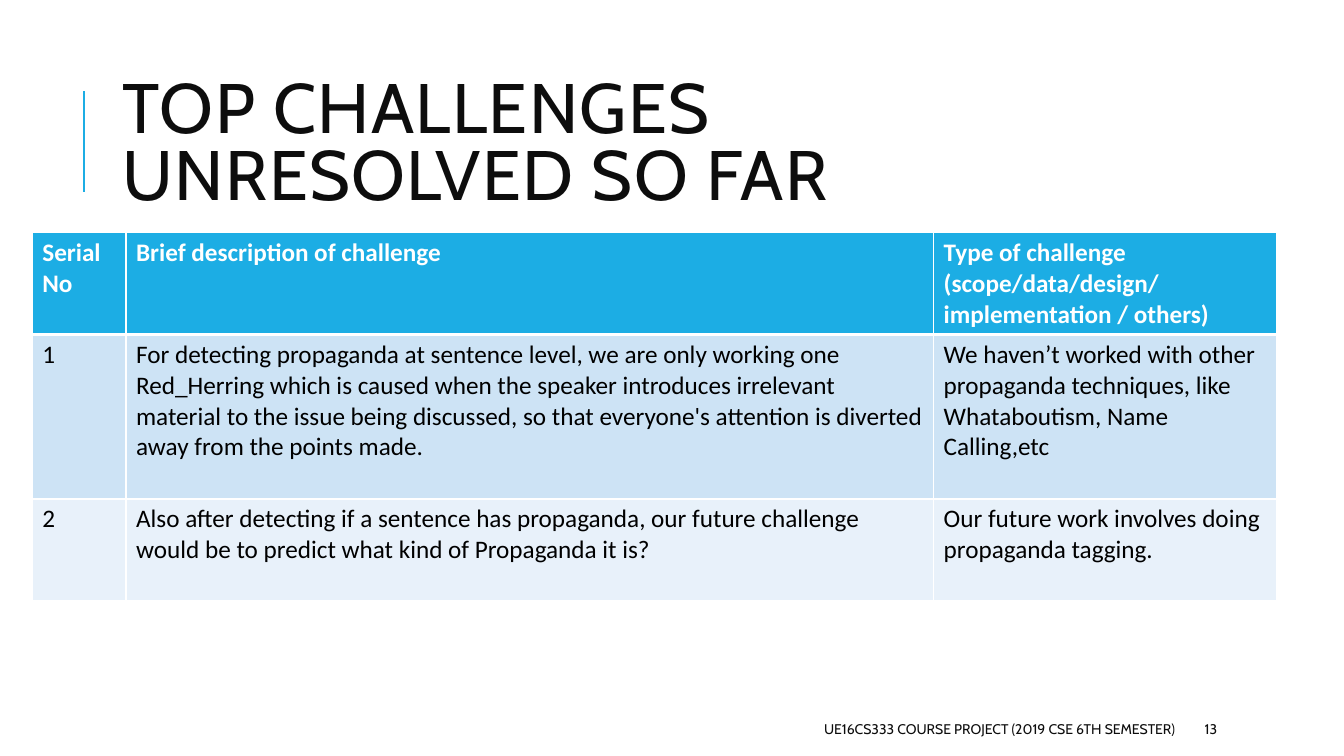
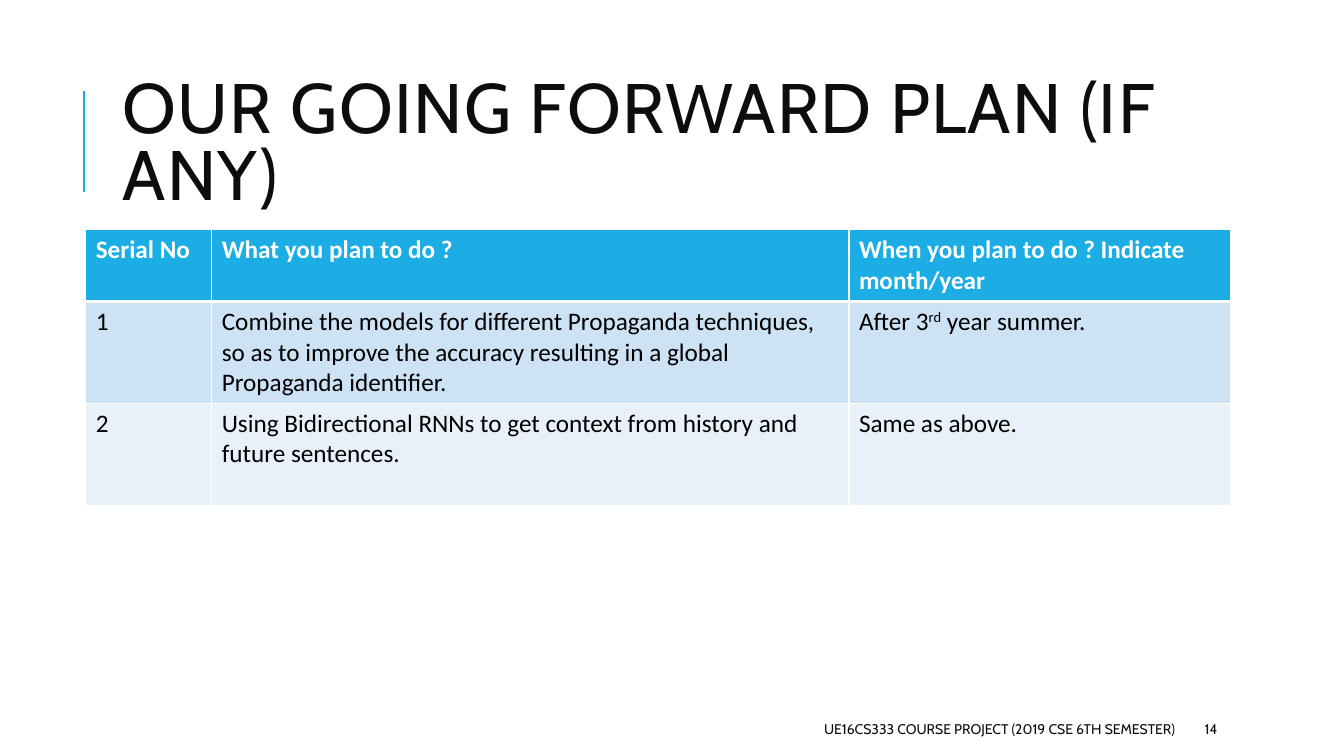
from dataclasses import dataclass

from lxml import etree
from pptx import Presentation, util as u
from pptx.dml.color import RGBColor
from pptx.enum import shapes, text
from pptx.oxml.ns import qn

PX = 9144  # EMU, 100 px to the inch
ACCENT, INK, WHITE, BLACK = "1CADE4", "0D0D0D", "FFFFFF", "000000"
BANDS = ("CDE3F5", "E8F1FA")
HEAD_FONT, BODY_FONT = "Cabin", "Calibri"
FOOTER = "UE16CS333 COURSE PROJECT (2019 CSE 6TH SEMESTER)"
FIRST_NUMBER = 13


@dataclass
class TableSlide:
    title: str
    left: int
    top: int
    cols: tuple[int, ...]
    heights: tuple[int, ...]
    rows: tuple[tuple[str, ...], ...]  # ^ marks start and end a superscript


SLIDES = (
    TableSlide(
        "TOP CHALLENGES UNRESOLVED SO FAR", 32, 231,
        (93, 801, 340), (101, 163, 101),
        (
            ("Serial No", "Brief description of challenge",
             "Type of challenge\n(scope/data/design/implementation / others)"),
            ("1",
             "For detecting propaganda at sentence level, we are only working one "
             "Red_Herring which is caused when the speaker introduces irrelevant "
             "material to the issue being discussed, so that everyone's attention "
             "is diverted away from the points made.",
             "We haven’t worked with other propaganda techniques, like "
             "Whataboutism, Name Calling,etc"),
            ("2",
             "Also after detecting if a sentence has propaganda, our future "
             "challenge would be to predict what kind of Propaganda it is?",
             "Our future work involves doing propaganda tagging."),
        ),
    ),
    TableSlide(
        "OUR GOING FORWARD PLAN (IF ANY)", 85, 228,
        (125, 632, 379), (71, 101, 102),
        (
            ("Serial No", "What you plan to do ?",
             "When you plan to do ? Indicate month/year"),
            ("1",
             "Combine the models for different Propaganda techniques, so as to "
             "improve the accuracy resulting in a global Propaganda identifier.",
             "After 3^rd^ year summer."),
            ("2",
             "Using Bidirectional RNNs to get context from history and future "
             "sentences.",
             "Same as above."),
        ),
    ),
)


def px(n: int) -> u.Emu:
    return u.Emu(n * PX)


def rgb(color: str) -> RGBColor:
    return RGBColor.from_string(color)


def style_run(r, size: int, font: str, color: str, bold: bool = False) -> None:
    r.font.size = u.Pt(size)
    r.font.name = font
    r.font.bold = bold
    r.font.color.rgb = rgb(color)


def add_text(s, words: str, box: tuple[int, int, int, int], size: int,
             align=text.PP_ALIGN.LEFT):
    """Add one middle-anchored heading-font paragraph and return it."""
    tf = s.shapes.add_textbox(*map(px, box)).text_frame
    tf.word_wrap = True
    tf.vertical_anchor = text.MSO_ANCHOR.MIDDLE
    p = tf.paragraphs[0]
    p.text = words
    p.alignment = align
    style_run(p.runs[0], size, HEAD_FONT, INK)
    return p


def add_frame(s, title: str, number: int) -> None:
    """Draw the accent line, title and footer that all slides share."""
    line = s.shapes.add_connector(
        shapes.MSO_CONNECTOR.STRAIGHT, px(83), px(190), px(83), px(90))
    line.line.color.rgb = rgb(ACCENT)
    line.line.width = u.Pt(1.5)
    etree.SubElement(line._element.spPr, qn("a:effectLst"))

    p = add_text(s, title, (112, 64, 1063, 164), 50)
    p.line_spacing = 0.8
    p.runs[0]._r.get_or_add_rPr().set("spc", "100")

    add_text(s, FOOTER, (530, 708, 645, 30), 10, text.PP_ALIGN.RIGHT)
    add_text(s, str(number), (1185, 708, 106, 30), 10)


def set_borders(cell, top: int, bottom: int) -> None:
    tc_pr = cell._tc.get_or_add_tcPr()
    for side, width in (("L", 1), ("R", 1), ("T", top), ("B", bottom)):
        ln = etree.SubElement(tc_pr, qn(f"a:ln{side}"), w=str(u.Pt(width)))
        fill = etree.SubElement(ln, qn("a:solidFill"))
        etree.SubElement(fill, qn("a:srgbClr"), val=WHITE)


def fill_cell(cell, words: str, row: int) -> None:
    header = row == 0
    set_borders(cell, top=3 if row == 1 else 1, bottom=3 if header else 1)
    cell.fill.solid()
    cell.fill.fore_color.rgb = rgb(ACCENT if header else BANDS[(row - 1) % 2])
    tf = cell.text_frame
    for i, line in enumerate(words.split("\n")):
        p = tf.add_paragraph() if i else tf.paragraphs[0]
        for j, piece in enumerate(line.split("^")):
            r = p.add_run()
            r.text = piece
            style_run(r, 18, BODY_FONT, WHITE if header else BLACK, header)
            if j % 2:
                r._r.get_or_add_rPr().set("baseline", "30000")


def add_table(s, data: TableSlide) -> None:
    table = s.shapes.add_table(
        len(data.rows), len(data.cols), px(data.left), px(data.top),
        px(sum(data.cols)), px(sum(data.heights))).table
    for col, width in zip(table.columns, data.cols):
        col.width = px(width)
    for i, (row, height) in enumerate(zip(table.rows, data.heights)):
        row.height = px(height)
        for cell, words in zip(row.cells, data.rows[i]):
            fill_cell(cell, words, i)


def main() -> None:
    prs = Presentation()
    prs.slide_width, prs.slide_height = px(1333), px(750)
    for number, data in enumerate(SLIDES, FIRST_NUMBER):
        s = prs.slides.add_slide(prs.slide_layouts[6])
        add_frame(s, data.title, number)
        add_table(s, data)
    prs.save("out.pptx")


if __name__ == "__main__":
    main()
